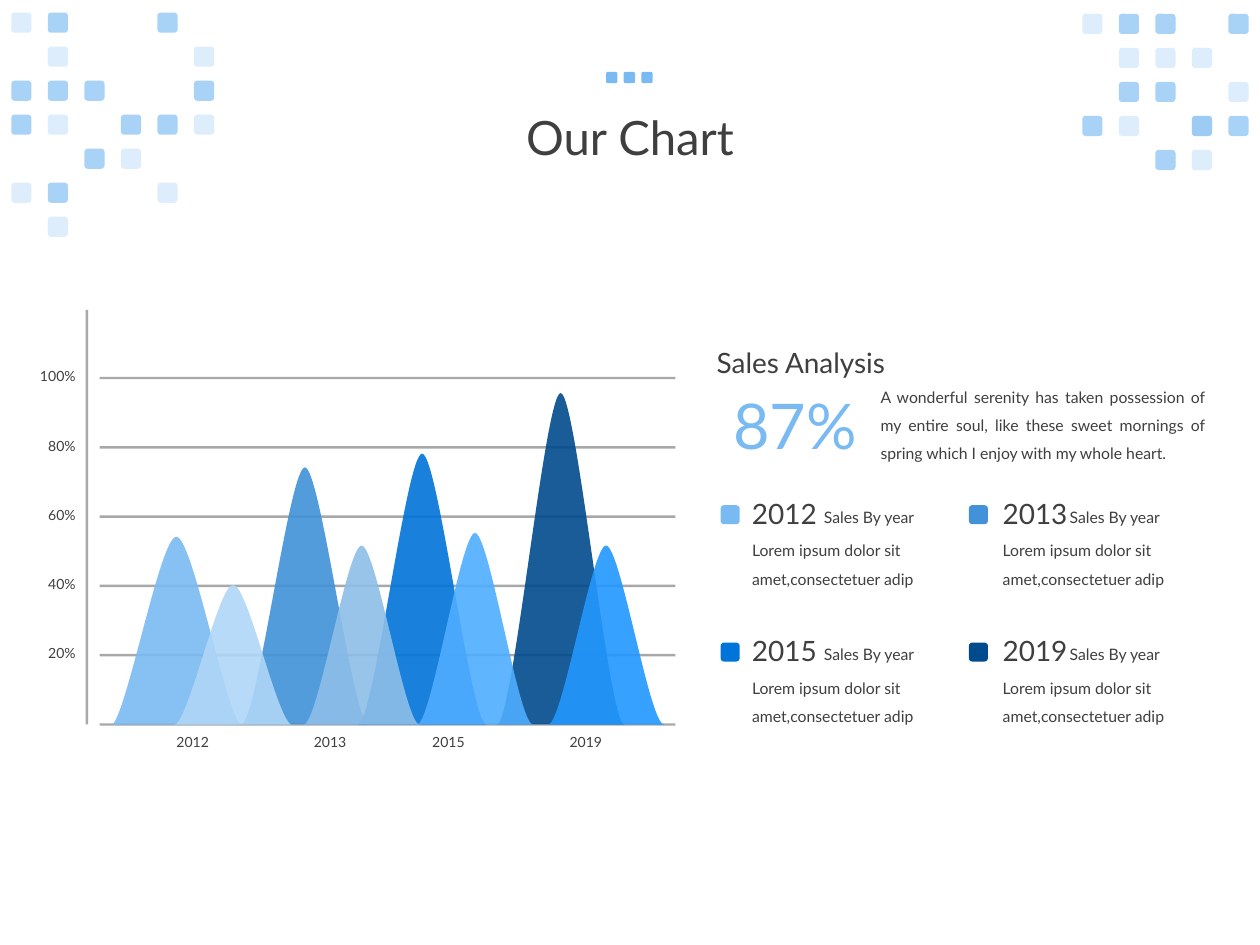
"""Build the "Our Chart" slide: yearly sales peaks, a key figure and a legend."""
from lxml import etree
from pptx import Presentation
from pptx import util as u
from pptx.dml.color import RGBColor
from pptx.enum import shapes, text
from pptx.oxml.ns import qn

FONT, INK, SKY, GRID = "Lato", "3F3F3F", "7ABAF2", "9F9F9F"
TITLE, HEADING, FIGURE = "Our Chart", "Sales Analysis", "87%"
SUMMARY = ("A wonderful serenity has taken possession of my entire soul, like these "
           "sweet mornings of spring which I enjoy with my whole heart.")
CAPTION, DETAIL = "Sales By year", "Lorem ipsum dolor sit amet,consectetuer adip"

LEVELS = ["100%", "80%", "60%", "40%", "20%"]
YEAR_CENTERS = {"2012": 1.53, "2013": 2.62, "2015": 3.56, "2019": 4.65}
# center, height, width, colour, share of the height held by the lower curve handle
PEAKS = [
    (1.40, 1.49, 1.01, "7ABAF2", 0.90), (4.45, 2.63, 1.01, "004B8D", 1),
    (2.42, 2.04, 1.01, "4192D9", 1), (3.35, 2.15, 1.02, "0074D9", 1),
    (1.85, 1.11, 0.92, "AFD6F7", 0.95), (4.81, 1.42, 0.92, "2297FF", 1),
    (3.77, 1.52, 0.92, "4FADFF", 1), (2.87, 1.42, 0.92, "8DBEE8", 1),
]
LEGEND = [[("2012", "7ABAF2"), ("2013", "4192D9")], [("2015", "0074D9"), ("2019", "004B8D")]]
LEGEND_COLUMNS = [(5.72, 5.87, 6.44), (7.69, 7.86, 8.39)]
LEGEND_TOP, LEGEND_PITCH = 3.89, 1.09

TONES = {"L": [25], "D": [65], "B": [65, 25]}
MOSAICS = [
    (0.09, 0.10, ["LD..D.", ".L...L", "DDD..D", "DL.DDL", "..DL..", "LD..L.", ".L...."]),
    (8.59, 0.11, ["LDD.D", ".LLL.", ".DD.L", "DL.BD", "..DL."]),
]
AXIS_X, AXIS_TOP, BASE, RULE = 0.68, 2.46, 5.75, 0.02
GRID_LEFT, GRID_WIDTH, GRID_TOP, GRID_PITCH = 0.79, 4.57, 2.99, 0.55
LABEL_W, LABEL_H = 0.46, 0.24


def paint(fill, color, opacity=100):
    fill.solid()
    fill.fore_color.rgb = RGBColor.from_string(color)
    if opacity < 100:
        tint = fill._xPr.find(".//" + qn("a:srgbClr"))
        etree.SubElement(tint, qn("a:alpha"), val=str(opacity * 1000))


def add_block(parent, preset, box, color, opacity=100):
    finish(parent.add_shape(preset, *map(u.Inches, box)), color, opacity)


def finish(shape, color, opacity):
    paint(shape.fill, color, opacity)
    shape.line.fill.background()
    shape.shadow.inherit = False


def add_square(parent, left, top, size, color, opacity=100):
    add_block(parent, shapes.MSO_SHAPE.ROUNDED_RECTANGLE, (left, top, size, size), color, opacity)


def add_rule(parent, *box):
    add_block(parent, shapes.MSO_SHAPE.RECTANGLE, box, GRID, 90)


def add_peak(parent, center, height, width, color, handle):
    corners = [(center - width / 2, BASE), (center, BASE - height), (center + width / 2, BASE)]
    foot, *others = [(u.Inches(x), u.Inches(y)) for x, y in corners]
    builder = parent.build_freeform(*foot)
    builder.add_line_segments(others, close=True)
    peak = builder.convert_to_shape()
    rise = [(1 / 8, handle), (3 / 8, 0), (1 / 2, 0)]
    fall = [(5 / 8, 0), (7 / 8, handle), (1, 1)]
    for segment, curve in zip(list(peak._element.iter(qn("a:lnTo"))), (rise, fall)):
        bend = etree.Element(qn("a:cubicBezTo"))
        for x, y in curve:
            etree.SubElement(bend, qn("a:pt"), x=str(round(x * peak.width)),
                             y=str(round(y * peak.height)))
        segment.getparent().replace(segment, bend)
    finish(peak, color, 90)


def style(paragraph, size, color=INK, align=None, spacing=None):
    font = paragraph.font
    font.name, font.size = FONT, u.Pt(size)
    font.color.rgb = RGBColor.from_string(color)
    paragraph.alignment = align
    paragraph.line_spacing = spacing


def add_text(parent, words, left, top, width, height, size, wrap=True, **look):
    frame = parent.add_textbox(*map(u.Inches, (left, top, width, height))).text_frame
    frame.word_wrap = wrap
    frame.text = words
    style(frame.paragraphs[0], size, **look)


def add_chart_area(parent):
    for row in range(len(LEVELS) + 1):
        add_rule(parent, GRID_LEFT, GRID_TOP + row * GRID_PITCH, GRID_WIDTH, RULE)
    add_rule(parent, AXIS_X, AXIS_TOP, RULE, BASE - AXIS_TOP)
    for peak in PEAKS:
        add_peak(parent, *peak)
    for row, level in enumerate(LEVELS):
        width = 0.14 + 0.12 * len(level) - 0.02 * len(level)
        add_text(parent, level, 0.7 - width, GRID_TOP + row * GRID_PITCH - LABEL_H / 2,
                 width, LABEL_H, 8, wrap=False, align=text.PP_ALIGN.RIGHT)
    for year, center in YEAR_CENTERS.items():
        add_text(parent, year, center - LABEL_W / 2, BASE + 0.02, LABEL_W, LABEL_H, 8,
                 wrap=False, align=text.PP_ALIGN.CENTER)


def add_analysis(parent):
    for row, entries in enumerate(LEGEND):
        top = LEGEND_TOP + row * LEGEND_PITCH
        for (year, color), (key_x, year_x, caption_x) in zip(entries, LEGEND_COLUMNS):
            add_text(parent, year, year_x, top, 0.9, 0.41, 16)
            add_text(parent, CAPTION, caption_x, top + 0.09, 1.12, 0.22, 9)
            add_text(parent, DETAIL, year_x, top + 0.28, 1.65, 0.53, 9, spacing=1.5)
            add_square(parent, key_x, top + 0.12, 0.15, color)
    add_text(parent, HEADING, 5.59, 2.69, 1.63, 0.37, 16, wrap=False)
    add_text(parent, SUMMARY, 6.89, 2.95, 2.77, 0.75, 9,
             align=text.PP_ALIGN.JUSTIFY, spacing=1.5)
    add_text(parent, FIGURE, 5.72, 3.02, 1.2, 0.71, 36, wrap=False, color=SKY)


def add_decoration(parent):
    for left, top, rows in MOSAICS:
        mosaic = parent.add_group_shape().shapes
        for row, tones in enumerate(rows):
            for column, tone in enumerate(tones):
                for opacity in TONES.get(tone, []):
                    add_square(mosaic, left + column * 0.29, top + row * 0.27, 0.16,
                               SKY, opacity)
    dots = parent.add_group_shape().shapes
    for column in range(3):
        add_square(dots, 4.81 + column * 0.14, 0.57, 0.09, SKY)


def main():
    deck = Presentation()
    deck.slide_width, deck.slide_height = u.Inches(10), u.Inches(7.5)
    slide = deck.slides.add_slide(deck.slide_layouts[5])
    title = slide.shapes.title
    title.left, title.top, title.width, title.height = map(u.Inches, (0.69, 0.39, 8.62, 1.45))
    title.text_frame.text = TITLE
    title.text_frame.vertical_anchor = text.MSO_ANCHOR.MIDDLE
    style(title.text_frame.paragraphs[0], 27, align=text.PP_ALIGN.CENTER, spacing=0.9)
    add_chart_area(slide.shapes)
    add_analysis(slide.shapes)
    add_decoration(slide.shapes)
    deck.save("out.pptx")


if __name__ == "__main__":
    main()
